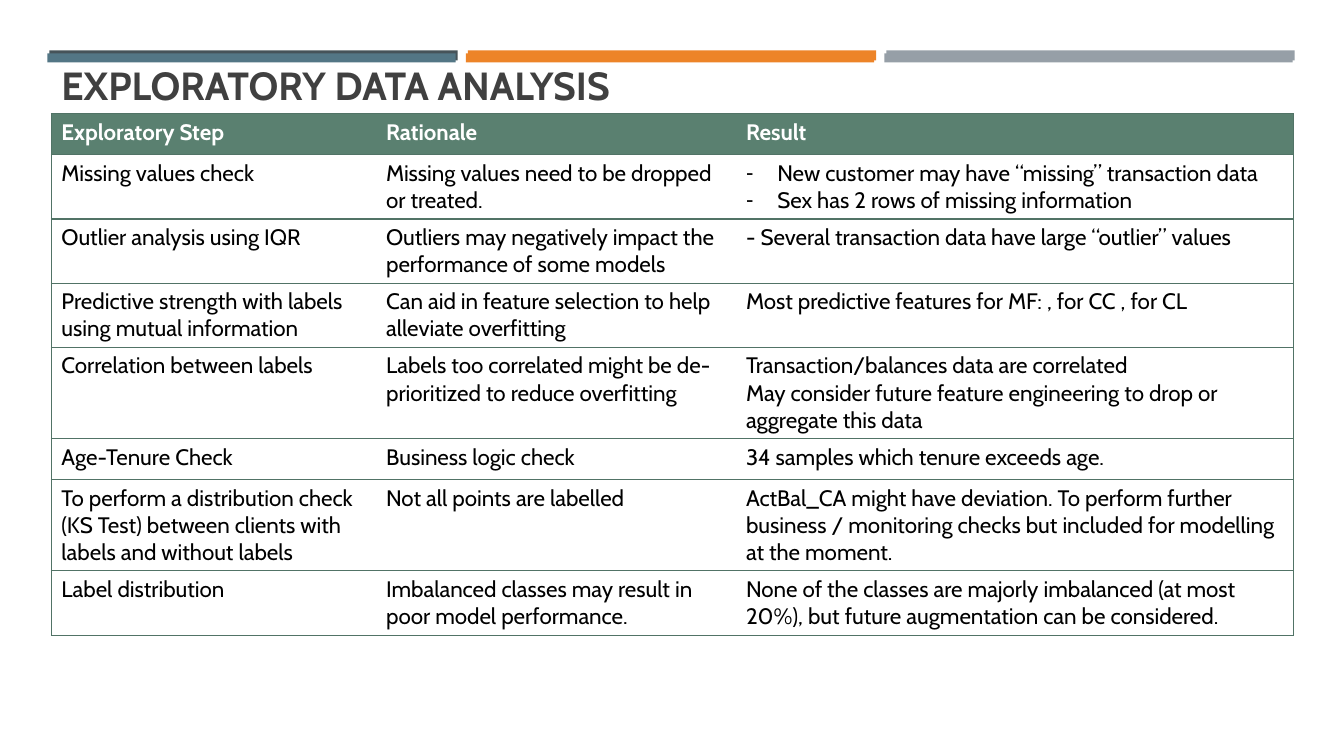
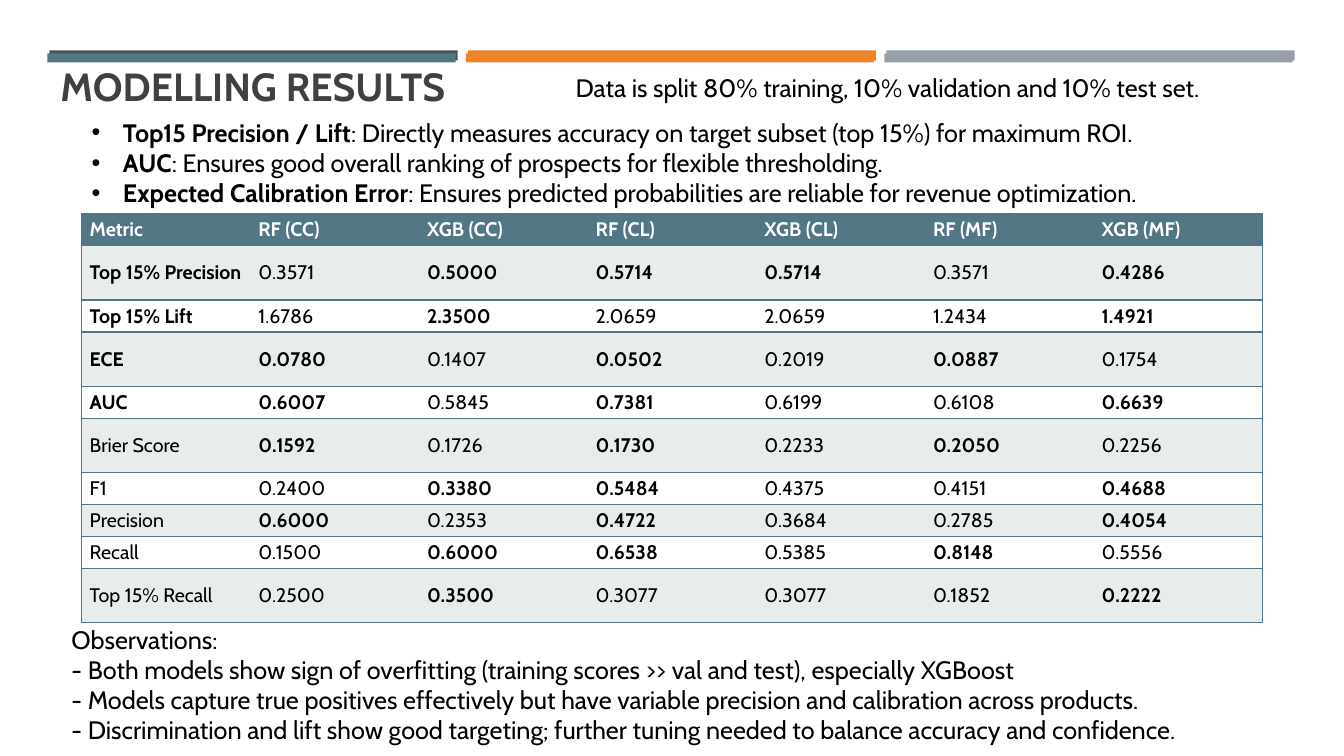
from dataclasses import dataclass
from typing import NamedTuple

from lxml import etree
from pptx import Presentation, util as u
from pptx.dml.color import RGBColor
from pptx.enum import shapes, text
from pptx.oxml import ns

COLORS = {
    "slate": "465359", "blue": "537685", "orange": "ED8428", "grey": "969FA7",
    "green": "5A8070", "green_line": "517366", "stripe": "E9ECED",
    "title": "404040", "black": "000000", "white": "FFFFFF",
}
FONT = "Cabin"
# The slide is a grid of 133.3 columns by 75 rows.
UNIT = u.Inches(0.1)


class Box(NamedTuple):
    """Position and size in grid columns and rows."""
    col: float
    row: float
    cols: float
    rows: float

    def emu(self) -> list[int]:
        return [round(n * UNIT) for n in self]


@dataclass
class Style:
    size: float
    color: str = "black"
    bold: bool = False


@dataclass
class Band:
    col: float
    row: float
    rows: float
    fills: tuple[str, ...]


@dataclass
class TableLook:
    size: float
    header: str
    line: str
    stripe: str = "white"
    anchor: text.MSO_ANCHOR = text.MSO_ANCHOR.TOP
    pad_x: float = 1
    pad_y: float = 0.5


BANDS = (
    Band(4.9, 5, 1, ("slate", "orange", "grey")),
    Band(4.7, 5.3, 0.9, ("blue", "orange", "grey")),
)
BAND_COLS, BAND_PITCH = 40.5, 41.5
TITLE = Style(28, "title", True)
BODY = Style(18)

EDA_LOOK = TableLook(16, "green", "green_line")
EDA_COLS = (32.2, 35.7, 55.3)
EDA_ROWS = (
    ("Exploratory Step", "Rationale", "Result"),
    ("Missing values check", "Missing values need to be dropped or treated.",
     "-\tNew customer may have “missing” transaction data\n"
     "-\tSex has 2 rows of missing information"),
    ("Outlier analysis using IQR",
     "Outliers may negatively impact the performance of some models",
     "- Several transaction data have large “outlier” values"),
    ("Predictive strength with labels using mutual information",
     "Can aid in feature selection to help alleviate overfitting",
     "Most predictive features for MF: , for CC , for CL"),
    ("Correlation between labels",
     "Labels too correlated might be de-prioritized to reduce overfitting",
     "Transaction/balances data are correlated\n"
     "May consider future feature engineering to drop or aggregate this data"),
    ("Age-Tenure Check", "Business logic check",
     "34 samples which tenure exceeds age."),
    ("To perform a distribution check (KS Test) between clients with labels "
     "and without labels", "Not all points are labelled",
     "ActBal_CA might have deviation. To perform further business / monitoring "
     "checks but included for modelling at the moment."),
    ("Label distribution",
     "Imbalanced classes may result in poor model performance.",
     "None of the classes are majorly imbalanced (at most 20%), but future "
     "augmentation can be considered."),
)

SCORE_LOOK = TableLook(14, "blue", "blue", "stripe",
                       text.MSO_ANCHOR.MIDDLE, 0.8, 0.4)
SCORE_ROWS = (
    ("Metric", "RF (CC)", "XGB (CC)", "RF (CL)", "XGB (CL)", "RF (MF)", "XGB (MF)"),
    ("*Top 15% Precision*", "0.3571", "*0.5000*", "*0.5714*", "*0.5714*", "0.3571", "*0.4286*"),
    ("*Top 15% Lift*", "1.6786", "*2.3500*", "2.0659", "2.0659", "1.2434", "*1.4921*"),
    ("*ECE*", "*0.0780*", "0.1407", "*0.0502*", "0.2019", "*0.0887*", "0.1754"),
    ("*AUC*", "*0.6007*", "0.5845", "*0.7381*", "0.6199", "0.6108", "*0.6639*"),
    ("Brier Score", "*0.1592*", "0.1726", "*0.1730*", "0.2233", "*0.2050*", "0.2256"),
    ("F1", "0.2400", "*0.3380*", "*0.5484*", "0.4375", "0.4151", "*0.4688*"),
    ("Precision", "*0.6000*", "0.2353", "*0.4722*", "0.3684", "0.2785", "*0.4054*"),
    ("Recall", "0.1500", "*0.6000*", "*0.6538*", "0.5385", "*0.8148*", "0.5556"),
    ("Top 15% Recall", "0.2500", "*0.3500*", "0.3077", "0.3077", "0.1852", "*0.2222*"),
)
SHORT, TALL = 3.1, 5.4
SCORE_HEIGHTS = (SHORT, TALL, SHORT, TALL, SHORT, TALL, SHORT, SHORT, SHORT, TALL)

METRICS = (
    "•\t*Top15 Precision / Lift*: Directly measures accuracy on target subset "
    "(top 15%) for maximum ROI.\n"
    "•\t*AUC*: Ensures good overall ranking of prospects for flexible thresholding.\n"
    "•\t*Expected Calibration Error*: Ensures predicted probabilities are reliable "
    "for revenue optimization."
)
SPLIT = "Data is split 80% training, 10% validation and 10% test set."
OBSERVATIONS = (
    "Observations:\n"
    "- Both models show sign of overfitting (training scores >> val and test), "
    "especially XGBoost\n"
    "- Models capture true positives effectively but have variable precision and "
    "calibration across products.\n"
    "- Discrimination and lift show good targeting; further tuning needed to "
    "balance accuracy and confidence."
)


def rgb(name: str) -> RGBColor:
    return RGBColor.from_string(COLORS[name])


def add_bullet(p, char: str) -> None:
    pPr = p._p.get_or_add_pPr()
    indent = u.Inches(0.31)
    pPr.set("marL", str(indent))
    pPr.set("indent", str(-indent))
    etree.SubElement(pPr, ns.qn("a:buFont")).set("typeface", "Arial")
    etree.SubElement(pPr, ns.qn("a:buChar")).set("char", char)


def write(tf, content: str, style: Style) -> None:
    """One paragraph a line; a bullet stands before a tab, bold between stars."""
    for i, line in enumerate(content.split("\n")):
        p = tf.add_paragraph() if i else tf.paragraphs[0]
        p.alignment = text.PP_ALIGN.LEFT
        p.space_before = u.Pt(0)
        bullet, _, words = line.rpartition("\t")
        if bullet:
            add_bullet(p, bullet)
        for n, part in enumerate(words.split("*")):
            if not part:
                continue
            r = p.add_run()
            r.text = part
            values = {"name": FONT, "size": u.Pt(style.size),
                      "bold": style.bold or n % 2 == 1}
            for key, value in values.items():
                setattr(r.font, key, value)
            r.font.color.rgb = rgb(style.color)


def place_text(sp, box: Box, content: str, style: Style,
               anchor: text.MSO_ANCHOR = text.MSO_ANCHOR.TOP) -> None:
    sp.left, sp.top, sp.width, sp.height = box.emu()
    tf = sp.text_frame
    values = {"word_wrap": True, "auto_size": text.MSO_AUTO_SIZE.NONE,
              "vertical_anchor": anchor}
    for key, value in values.items():
        setattr(tf, key, value)
    write(tf, content, style)


def add_text(slide, box: Box, content: str) -> None:
    place_text(slide.shapes.add_textbox(*box.emu()), box, content, BODY)


def add_titled_slide(prs, layout: int, title: str, col: float, row: float):
    slide = prs.slides.add_slide(prs.slide_layouts[layout])
    place_text(slide.shapes.title, Box(col, row, 123.2, 12.5), title, TITLE,
               text.MSO_ANCHOR.BOTTOM)
    return slide


def add_master_bands(prs, slide) -> None:
    """Draw the bands on a slide, then move them to the master."""
    target = prs.slide_master.shapes.element
    next_id = 100
    for band in BANDS:
        for i, fill in enumerate(band.fills):
            box = Box(band.col + i * BAND_PITCH, band.row, BAND_COLS, band.rows)
            sp = slide.shapes.add_shape(shapes.MSO_SHAPE.RECTANGLE, *box.emu())
            sp.shadow.inherit = False
            sp.fill.solid()
            sp.fill.fore_color.rgb = rgb(fill)
            sp.line.fill.background()
            sp.element.nvSpPr.cNvPr.set("id", str(next_id))
            next_id += 1
            target.append(sp.element)


def set_borders(cell, color: str, drawn: str) -> None:
    """Line the sides named in drawn and clear the others."""
    tcPr = cell._tc.get_or_add_tcPr()
    for i, side in enumerate("LRTB"):
        ln = etree.Element(ns.qn(f"a:ln{side}"), w=str(u.Pt(1)))
        if side in drawn:
            fill = etree.SubElement(ln, ns.qn("a:solidFill"))
            etree.SubElement(fill, ns.qn("a:srgbClr")).set("val", COLORS[color])
        else:
            etree.SubElement(ln, ns.qn("a:noFill"))
        tcPr.insert(i, ln)


def add_table(slide, col: float, row: float, widths, heights, rows,
              look: TableLook) -> None:
    box = Box(col, row, sum(widths), sum(heights))
    table = slide.shapes.add_table(len(rows), len(widths), *box.emu()).table
    table.horz_banding = False
    for column, width in zip(table.columns, widths):
        column.width = round(width * UNIT)
    for line, height in zip(table.rows, heights):
        line.height = round(height * UNIT)
    pad_x, pad_y = round(look.pad_x * UNIT), round(look.pad_y * UNIT)
    cell_format = {"vertical_anchor": look.anchor,
                   "margin_left": pad_x, "margin_right": pad_x,
                   "margin_top": pad_y, "margin_bottom": pad_y}
    for y, contents in enumerate(rows):
        head = y == 0
        fill = look.header if head else look.stripe if y % 2 else "white"
        style = Style(look.size, "white" if head else "black", head)
        for x, content in enumerate(contents):
            cell = table.cell(y, x)
            for key, value in cell_format.items():
                setattr(cell, key, value)
            cell.fill.solid()
            cell.fill.fore_color.rgb = rgb(fill)
            sides = "TB" + "L" * (x == 0) + "R" * (x == len(widths) - 1)
            set_borders(cell, look.line, sides)
            write(cell.text_frame, content, style)


def build_exploration(prs):
    slide = add_titled_slide(prs, 5, "EXPLORATORY DATA ANALYSIS", 5.1, -1.2)
    add_table(slide, 5.1, 11.3, EDA_COLS, [4.05] * len(EDA_ROWS), EDA_ROWS, EDA_LOOK)
    return slide


def build_results(prs) -> None:
    slide = add_titled_slide(prs, 1, "MODELLING RESULTS", 5, -1.1)
    place_text(slide.placeholders[1], Box(8.1, 11.1, 122.3, 10.1), METRICS, BODY)
    add_text(slide, Box(56.1, 6.7, 77.2, 4), SPLIT)
    add_text(slide, Box(6.1, 61.4, 121.1, 13.1), OBSERVATIONS)
    add_table(slide, 8.1, 21.2, [117.1 / 7] * 7, SCORE_HEIGHTS, SCORE_ROWS, SCORE_LOOK)


def main() -> None:
    prs = Presentation()
    prs.slide_width, prs.slide_height = u.Inches(13.33), u.Inches(7.5)
    add_master_bands(prs, build_exploration(prs))
    build_results(prs)
    prs.save("out.pptx")


if __name__ == "__main__":
    main()
